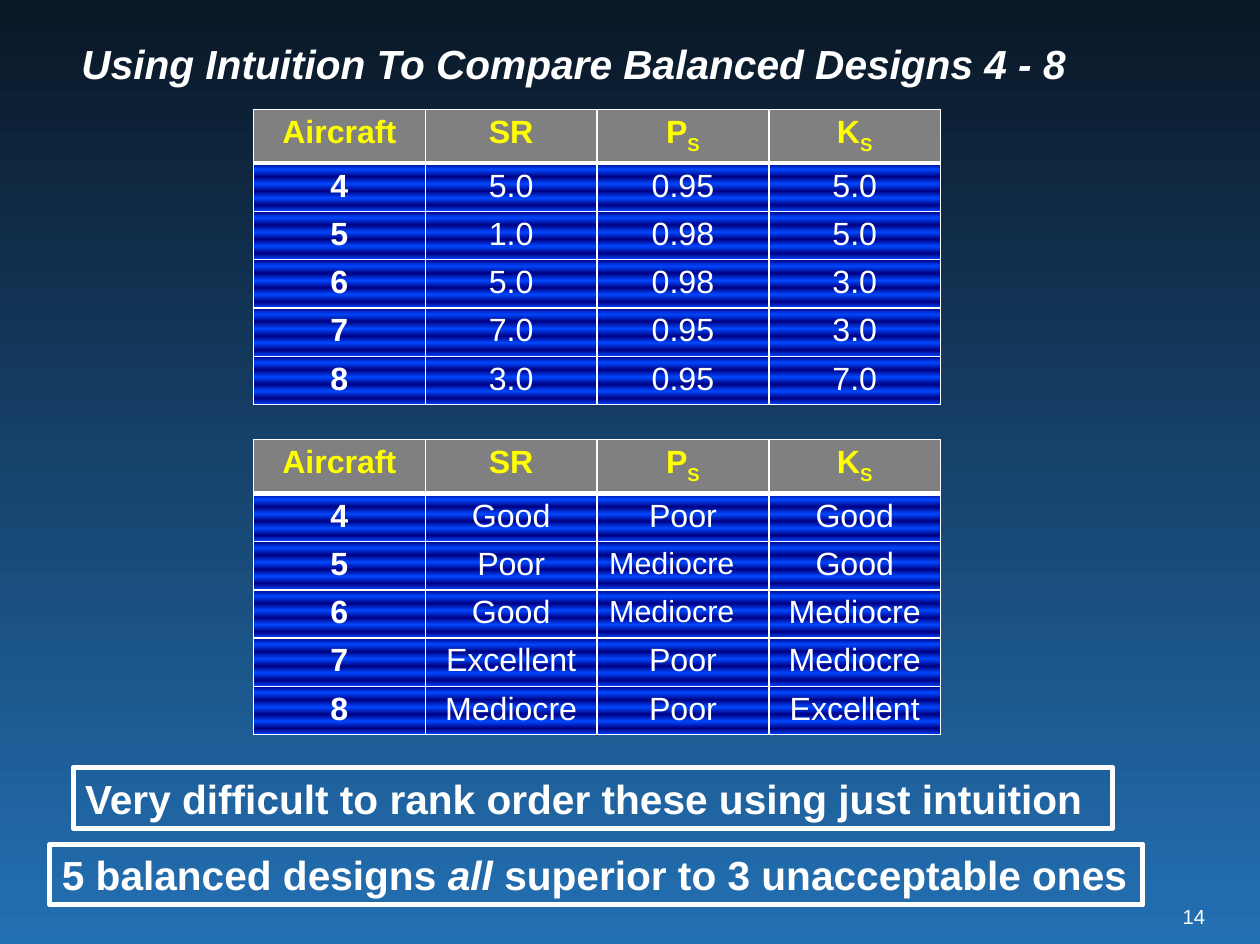
from lxml.etree import SubElement
from pptx import Presentation
from pptx.dml.color import RGBColor
from pptx.enum.shapes import MSO_SHAPE
from pptx.enum.text import MSO_ANCHOR, PP_ALIGN
from pptx.oxml.ns import qn
from pptx.util import Inches, Pt

COLORS = {"white": "FFFFFF", "yellow": "FFFF00", "gray": "808080",
          "navy": "000082", "blue": "0047FF", "night": "0A1726", "sky": "2370B4"}
FONT = "Arial"

TITLE = "Using Intuition To Compare Balanced Designs 4 - 8"
PAGE = "14"
# Each cell is a list of (text, style) runs or a plain string
HEADER = ["Aircraft", "SR", [("P", ""), ("S", "sub")], [("K", ""), ("S", "sub")]]
SCORES = [
    ["4", "5.0", "0.95", "5.0"],
    ["5", "1.0", "0.98", "5.0"],
    ["6", "5.0", "0.98", "3.0"],
    ["7", "7.0", "0.95", "3.0"],
    ["8", "3.0", "0.95", "7.0"],
]
RATINGS = [
    ["4", "Good", "Poor", "Good"],
    ["5", "Poor", "Mediocre", "Good"],
    ["6", "Good", "Mediocre", "Mediocre"],
    ["7", "Excellent", "Poor", "Mediocre"],
    ["8", "Mediocre", "Poor", "Excellent"],
]
TABLES = [(0.9, SCORES), (3.61, RATINGS)]
CONCLUSIONS = [
    (0.6, 6.3, 8.53, "Very difficult to rank order these using just intuition"),
    (0.41, 6.93, 8.97, [("5 balanced designs ", ""), ("all", "italic"),
                        (" superior to 3 unacceptable ones", "")]),
]
BACKDROP = [(0, "night"), (100, "sky")]
STRIPES = [(pos, ("navy", "blue")[i % 2])
           for i, pos in enumerate([0, 13, 28, 43, 58, 72, 87, 100])]

TABLE_LEFT, COL_W, HEAD_H, ROW_H = 2.08, 1.41, 0.43, 0.39


def rgb(name):
    """Return the named colour."""
    return RGBColor.from_string(COLORS[name])


def write(tf, content, size, color="white", bold=False, italic=False,
          align=PP_ALIGN.LEFT):
    """Fill the first paragraph with formatted runs and return it."""
    p = tf.paragraphs[0]
    p.alignment = align
    for text, style in [(content, "")] if isinstance(content, str) else content:
        r = p.add_run()
        r.text = text
        r.font.name, r.font.size = FONT, Pt(size)
        r.font.bold, r.font.italic = bold, italic or style == "italic"
        r.font.color.rgb = rgb(color)
        if style == "sub":
            r.font._element.set("baseline", "-25000")
    return p


def set_gradient(fill, parent, stops):
    """Give a fill a top-to-bottom gradient with any number of stops."""
    fill.gradient()
    fill.gradient_angle = 270
    stop_list = parent.find(".//" + qn("a:gsLst"))
    for old in list(stop_list):
        stop_list.remove(old)
    for pos, name in stops:
        gs = SubElement(stop_list, qn("a:gs"), pos=str(pos * 1000))
        SubElement(gs, qn("a:srgbClr"), val=COLORS[name])


def set_borders(cell, widths):
    """Draw white cell borders; widths are points for left, right, top, bottom."""
    tc_pr = cell._tc.get_or_add_tcPr()
    for i, (side, width) in enumerate(zip("LRTB", widths)):
        ln = SubElement(tc_pr, qn("a:ln" + side), w=str(Pt(width)))
        solid = SubElement(ln, qn("a:solidFill"))
        SubElement(solid, qn("a:srgbClr"), val=COLORS["white"])
        tc_pr.insert(i, ln)


def add_design_table(s, top, rows):
    """Add one table comparing the designs."""
    grid = [HEADER] + rows
    n_rows, n_cols = len(grid), len(HEADER)
    table = s.shapes.add_table(
        n_rows, n_cols, Inches(TABLE_LEFT), Inches(top), Inches(COL_W * n_cols),
        Inches(HEAD_H + ROW_H * len(rows))).table
    for col in table.columns:
        col.width = Inches(COL_W)
    for i, values in enumerate(grid):
        head = i == 0
        table.rows[i].height = Inches(HEAD_H if head else ROW_H)
        for j, value in enumerate(values):
            cell = table.cell(i, j)
            cell.margin_top = cell.margin_bottom = Inches(0.04)
            # The mediocre values in the third column are smaller and left-aligned
            small = j == 2 and value == "Mediocre"
            write(cell.text_frame, value, 18 if small else 19,
                  "yellow" if head else "white", bold=head or j == 0,
                  align=PP_ALIGN.LEFT if small else PP_ALIGN.CENTER)
            if head:
                cell.fill.solid()
                cell.fill.fore_color.rgb = rgb("gray")
            else:
                set_gradient(cell.fill, cell._tc, STRIPES)
            set_borders(cell, (1, 1, 3 if i == 1 else 1, 3 if head else 1))


def add_conclusion(s, left, top, width, content):
    """Add an outlined box with a bold statement."""
    sp = s.shapes.add_shape(MSO_SHAPE.RECTANGLE, Inches(left), Inches(top),
                            Inches(width), Inches(0.5))
    sp.shadow.inherit = False
    sp.fill.background()
    sp.line.color.rgb, sp.line.width = rgb("white"), Pt(3)
    write(sp.text_frame, content, 24, bold=True)


prs = Presentation()
prs.slide_width, prs.slide_height = Inches(10.34), Inches(7.75)
s = prs.slides.add_slide(prs.slide_layouts[6])
set_gradient(s.background.fill, s.element, BACKDROP)

number = s.shapes.add_textbox(Inches(9.69), Inches(7.42), Inches(0.2), Inches(0.2))
tf = number.text_frame
tf.margin_left = tf.margin_right = tf.margin_top = tf.margin_bottom = 0
tf.word_wrap = False
write(tf, PAGE, 12, align=PP_ALIGN.RIGHT)

title = s.shapes.add_textbox(Inches(0.57), 0, Inches(8.6), Inches(1.08))
tf = title.text_frame
tf.word_wrap, tf.vertical_anchor = True, MSO_ANCHOR.MIDDLE
write(tf, TITLE, 24, bold=True, italic=True).line_spacing = Pt(26)

for top, rows in TABLES:
    add_design_table(s, top, rows)
for box in CONCLUSIONS:
    add_conclusion(s, *box)

prs.save("out.pptx")
